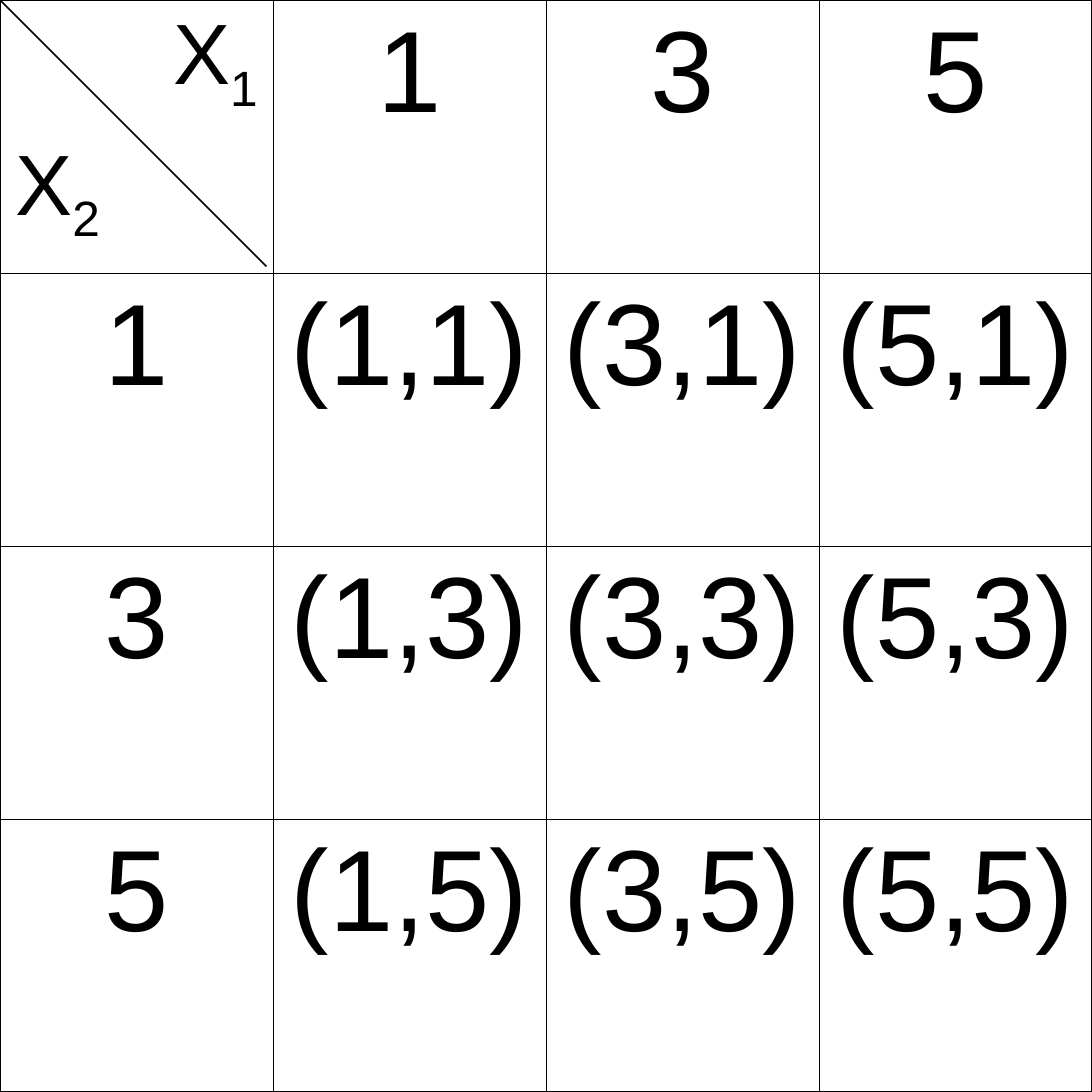
from lxml.etree import SubElement
from pptx import Presentation
from pptx.dml.color import RGBColor as RGB
from pptx.enum.shapes import MSO_CONNECTOR as Conn
from pptx.enum.text import PP_ALIGN as Align
from pptx.oxml import parse_xml
from pptx.oxml.ns import nsdecls, qn
from pptx.util import Inches, Pt

COLORS = {"ink": "000000"}
INK = RGB.from_string(COLORS["ink"])
SIDE = 7.09
VALUES = [1, 3, 5]
COUNT = len(VALUES) + 1
THICK, THIN = 1.08, 0.45


def add_run(para, text, size, base=None):
    run = para.add_run()
    run.text = text
    style = {"name": "Arial", "size": Pt(size), "bold": False}
    for key, value in style.items():
        setattr(run.font, key, value)
    run.font.color.rgb = INK
    if base:
        run._r.get_or_add_rPr().set("baseline", str(base * 1000))


def set_para(para, align, space):
    para.alignment = align
    para.space_before = Pt(space)


def set_edges(cell, row, col):
    # Outer edges are thicker than inner ones
    outer = {"L": col == 0, "R": col == COUNT - 1,
             "T": row == 0, "B": row == COUNT - 1}
    props = cell._tc.get_or_add_tcPr()
    for index, (side, edge) in enumerate(outer.items()):
        width = Pt(THICK if edge else THIN)
        props.insert(index, parse_xml(
            f'<a:ln{side} {nsdecls("a")} w="{width}"><a:solidFill>'
            f'<a:srgbClr val="{COLORS["ink"]}"/></a:solidFill></a:ln{side}>'))


def fill_corner(cell):
    frame = cell.text_frame
    paras = [frame.paragraphs[0], frame.add_paragraph()]
    for para, align, index in zip(paras, [Align.RIGHT, Align.LEFT], "12"):
        set_para(para, align, 10)
        add_run(para, "X", 40)
        add_run(para, index, 40, base=-25)


def cell_text(row, col):
    if row == 0:
        return str(VALUES[col - 1])
    if col == 0:
        return str(VALUES[row - 1])
    return f"({VALUES[col - 1]},{VALUES[row - 1]})"


def add_grid(slide):
    table = slide.shapes.add_table(
        COUNT, COUNT, 0, 0, Inches(SIDE), Inches(SIDE)).table
    table.first_row = table.horz_banding = False
    for row in range(COUNT):
        for col in range(COUNT):
            cell = table.cell(row, col)
            cell.fill.background()
            set_edges(cell, row, col)
            if row == col == 0:
                fill_corner(cell)
                continue
            para = cell.text_frame.paragraphs[0]
            set_para(para, Align.CENTER, 13.5)
            add_run(para, cell_text(row, col), 54)


def add_slash(slide):
    end = Inches(1.73)
    line = slide.shapes.add_connector(Conn.STRAIGHT, 0, 0, end, end)
    line.line.color.rgb = INK
    line.line.width = Pt(0.75)
    SubElement(line._element.spPr, qn("a:effectLst"))


def main():
    prs = Presentation()
    prs.slide_width = prs.slide_height = Inches(SIDE)
    slide = prs.slides.add_slide(prs.slide_layouts[6])
    # Table of value pairs
    add_grid(slide)
    # Diagonal of the corner cell
    add_slash(slide)
    prs.save("out.pptx")


if __name__ == "__main__":
    main()
